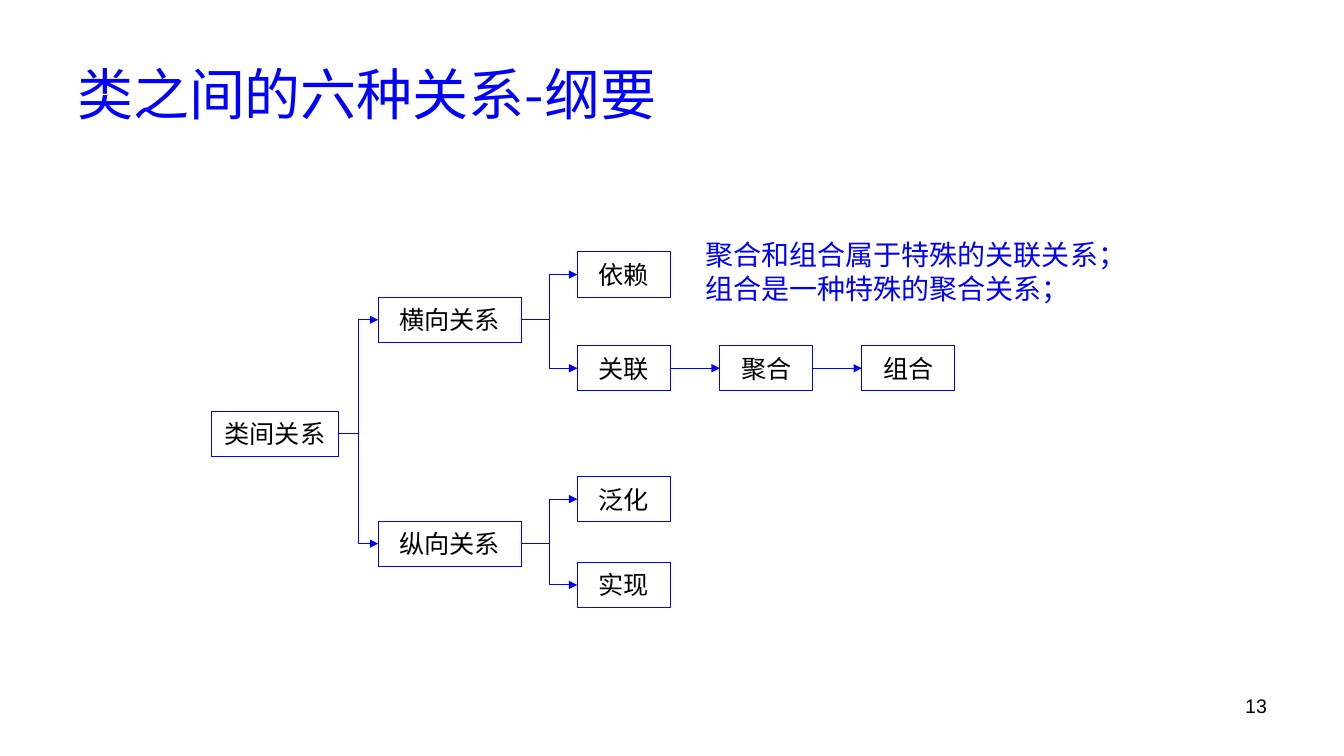
"""Build the slide that outlines the six relationships between classes."""
from lxml.etree import SubElement
from pptx import Presentation
from pptx.dml.color import RGBColor
from pptx.enum.shapes import MSO_CONNECTOR as Link, MSO_SHAPE as Preset
from pptx.enum.text import MSO_ANCHOR as Anchor, PP_ALIGN as Align
from pptx.oxml.ns import qn
from pptx.util import Cm, Pt

BLUE = RGBColor(0x00, 0x00, 0xFF)
BLACK = RGBColor(0x00, 0x00, 0x00)
WHITE = RGBColor(0xFF, 0xFF, 0xFF)
CJK_FONT = "Noto Sans CJK SC"
BOX_HEIGHT = 1.14
ROOT, BRANCH, LEAF = (5.33, 3.2), (9.53, 3.61), (14.55, 2.34)
AGGREGATION, COMPOSITION = (18.14, 2.34), (21.72, 2.34)
BOXES = {
    "类间关系": (ROOT, 10.36),
    "横向关系": (BRANCH, 7.49),
    "纵向关系": (BRANCH, 13.13),
    "依赖": (LEAF, 6.35),
    "关联": (LEAF, 8.71),
    "聚合": (AGGREGATION, 8.71),
    "组合": (COMPOSITION, 8.71),
    "泛化": (LEAF, 12.01),
    "实现": (LEAF, 14.17),
}
ARROWS = [
    ("类间关系", "横向关系"),
    ("类间关系", "纵向关系"),
    ("横向关系", "依赖"),
    ("横向关系", "关联"),
    ("关联", "聚合"),
    ("聚合", "组合"),
    ("纵向关系", "泛化"),
    ("纵向关系", "实现"),
]
NOTES = ["聚合和组合属于特殊的关联关系；", "组合是一种特殊的聚合关系；"]


def add_run(paragraph, text, size, color, font=CJK_FONT, align=Align.LEFT):
    """Append a formatted run to an aligned paragraph."""
    paragraph.alignment = align
    run = paragraph.add_run()
    run.text = text
    run.font.size = Pt(size)
    run.font.name = font
    run.font.color.rgb = color
    SubElement(run.font._element, qn("a:ea")).set("typeface", font)


def set_title(slide, text):
    """Place and fill the title placeholder."""
    title = slide.shapes.title
    title.left, title.top = Cm(1.69), Cm(0.76)
    title.width, title.height = Cm(30.48), Cm(3.18)
    title.text_frame.vertical_anchor = Anchor.MIDDLE
    add_run(title.text_frame.paragraphs[0], text, 40, BLUE)


def add_box(slide, label, column, top):
    """Draw one labelled box of the tree."""
    left, width = column
    box = slide.shapes.add_shape(
        Preset.RECTANGLE, Cm(left), Cm(top), Cm(width), Cm(BOX_HEIGHT))
    box.shadow.inherit = False
    box.fill.solid()
    box.fill.fore_color.rgb = WHITE
    box.line.color.rgb = BLUE
    box.line.width = Pt(0.75)
    box.text_frame.word_wrap = False
    box.text_frame.vertical_anchor = Anchor.MIDDLE
    add_run(box.text_frame.paragraphs[0], label, 18, BLACK, align=Align.CENTER)
    return box


def add_arrow(slide, parent, child):
    """Join a box to the one on its right, bending when their heights differ."""
    kind = Link.STRAIGHT if parent.top == child.top else Link.ELBOW
    arrow = slide.shapes.add_connector(kind, 0, 0, 0, 0)
    arrow.begin_connect(parent, 3)
    arrow.end_connect(child, 1)
    arrow.line.color.rgb = BLUE
    arrow.line.width = Pt(0.75)
    SubElement(arrow.line._get_or_add_ln(), qn("a:tailEnd")).set("type", "triangle")
    SubElement(arrow._element.spPr, qn("a:effectLst"))


def add_text_frame(slide, left, top, width, height):
    """Add a wrapping text box and return its frame."""
    frame = slide.shapes.add_textbox(
        Cm(left), Cm(top), Cm(width), Cm(height)).text_frame
    frame.word_wrap = True
    return frame


def add_notes(slide, lines):
    """Write the remarks on aggregation and composition."""
    frame = add_text_frame(slide, 17.53, 5.99, 11.2, 2.13)
    frame.margin_top = 0
    for index, line in enumerate(lines):
        paragraph = frame.add_paragraph() if index else frame.paragraphs[0]
        add_run(paragraph, line, 20, BLUE)


def add_page_number(slide, number):
    """Write the page number in the lower right corner."""
    frame = add_text_frame(slide, 24.28, 17.35, 7.9, 1.32)
    add_run(frame.paragraphs[0], number, 14, BLACK, "Arial", Align.RIGHT)


def main():
    """Assemble and save the slide."""
    deck = Presentation()
    deck.slide_width, deck.slide_height = Cm(33.87), Cm(19.05)
    slide = deck.slides.add_slide(deck.slide_layouts.get_by_name("Title Only"))
    set_title(slide, "类之间的六种关系-纲要")
    boxes = {label: add_box(slide, label, *place) for label, place in BOXES.items()}
    for parent, child in ARROWS:
        add_arrow(slide, boxes[parent], boxes[child])
    add_notes(slide, NOTES)
    add_page_number(slide, "13")
    deck.save("out.pptx")


if __name__ == "__main__":
    main()
